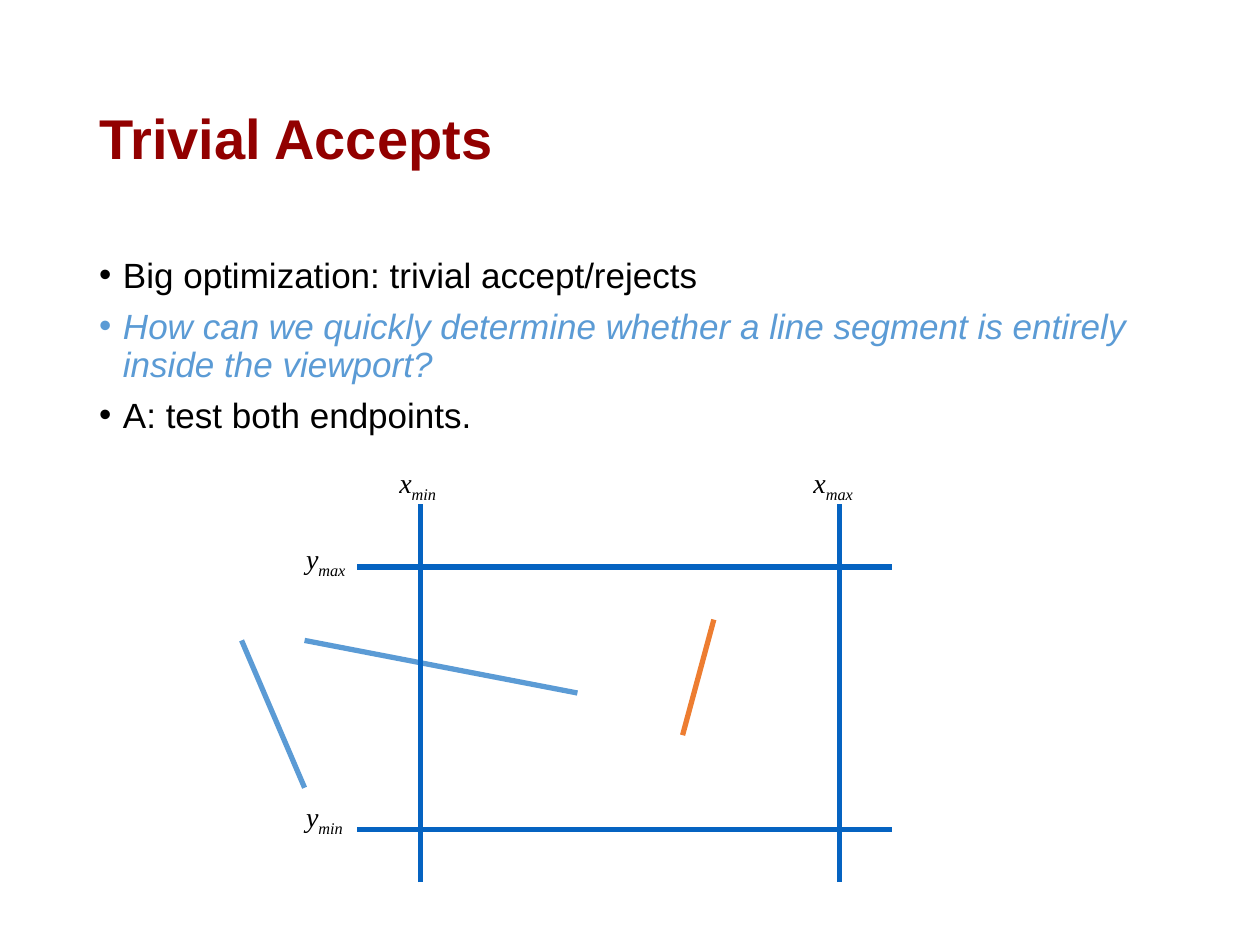
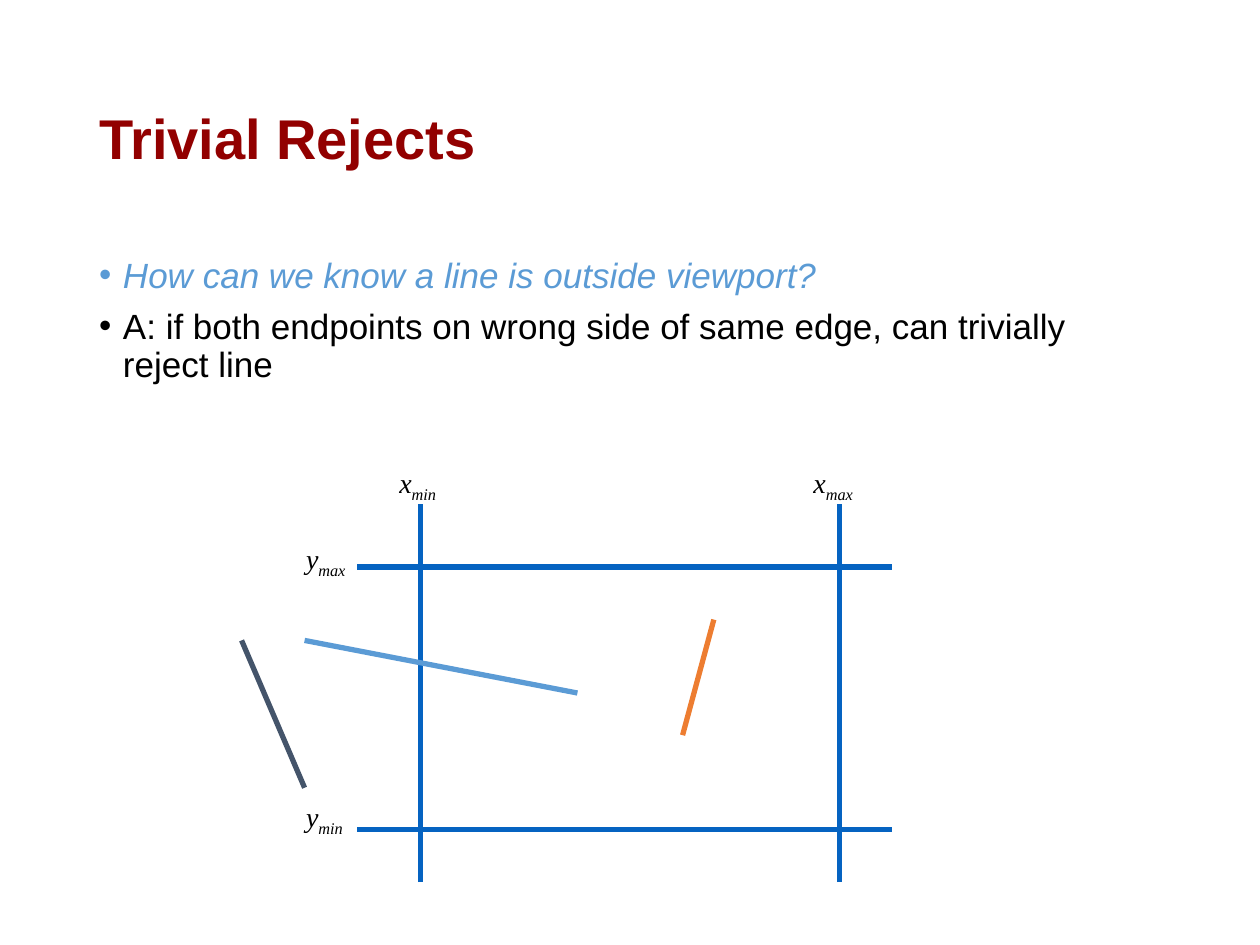
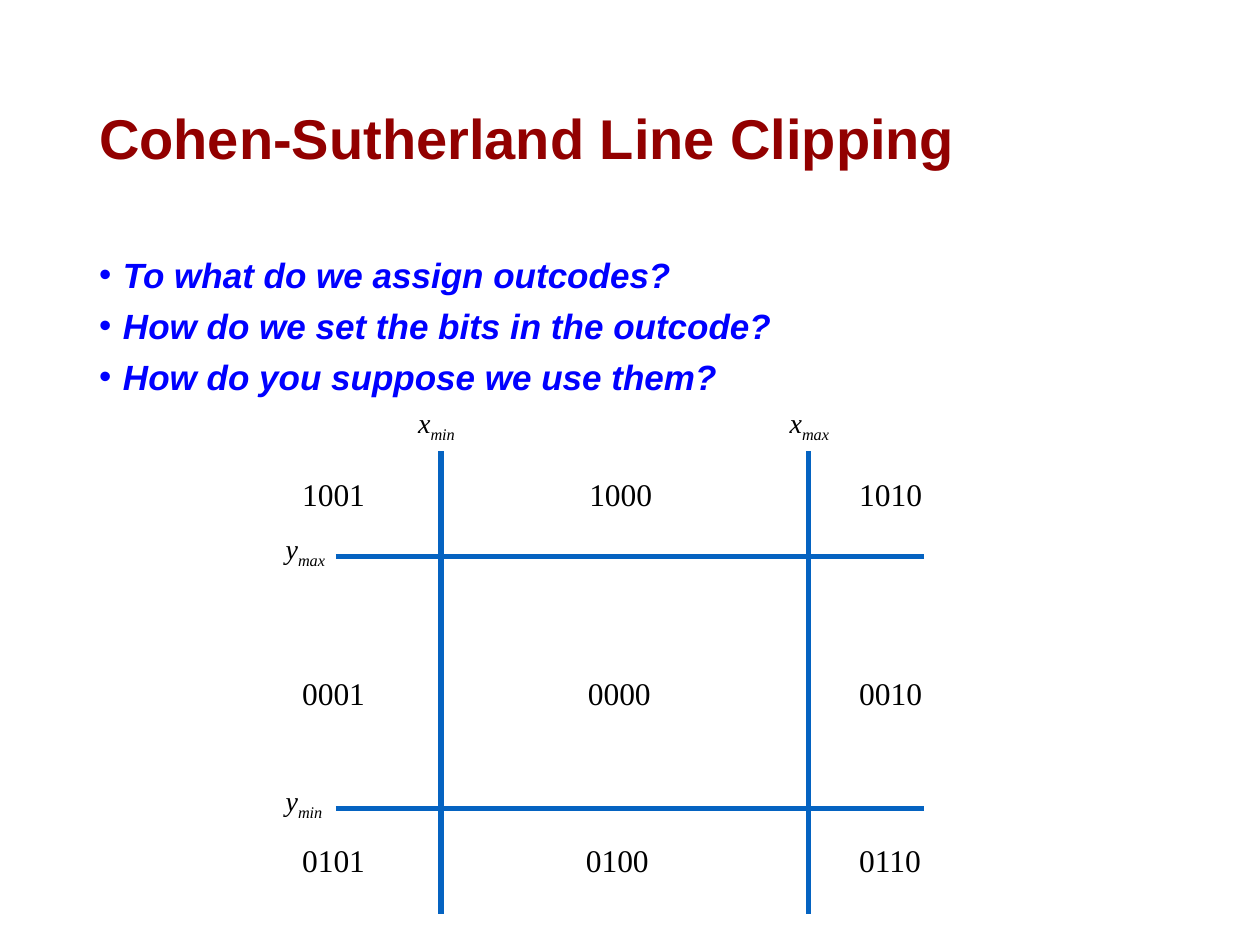
from lxml import etree
from pptx import Presentation
from pptx.dml.color import RGBColor
from pptx.enum.shapes import MSO_CONNECTOR as CONN
from pptx.enum.text import MSO_ANCHOR as ANCHOR, MSO_AUTO_SIZE as AUTO
from pptx.oxml.ns import qn
from pptx.util import Cm, Pt

COLORS = {
    "title": "920000",
    "text": "000000",
    "question": "5B9BD5",
    "strong": "0000FF",
    "grid": "0563C1",
    "crossing": "5B9BD5",
    "inside": "ED7D31",
    "rejected": "44546A",
}
SANS, SERIF = "Arial", "Times New Roman"
LEFT, WIDTH = 1.75, 21.9
LABEL_WIDTHS = {"min": 1.35, "max": 1.42}

VIEWPORT = {
    "x": {"min": 8.47, "max": 16.93},
    "y": {"max": 11.43, "min": 16.72},
    "across": (7.2, 17.99),
    "down": (10.16, 17.78),
    "labels": {("x", "min"): (7.8, 9.27), ("x", "max"): (16.15, 9.27),
               ("y", "max"): (5.92, 10.8), ("y", "min"): (5.92, 16)},
}
REGIONS = {
    "x": {"min": 8.89, "max": 16.3},
    "y": {"max": 11.22, "min": 16.3},
    "across": (6.77, 18.63),
    "down": (9.1, 18.42),
    "labels": {("x", "min"): (8.18, 8.05), ("x", "max"): (15.67, 8.05),
               ("y", "max"): (5.51, 10.59), ("y", "min"): (5.51, 15.67)},
}
OUTCODES = [
    (9.32, 11.63, ("1001", "1000", "1010")),
    (13.34, 11.6, ("0001", "0000", "0010")),
    (16.71, 11.56, ("0101", "0100", "0110")),
]


def add_box(s, left, top, width, height, wrap=True, anchor=ANCHOR.TOP):
    tf = s.shapes.add_textbox(Cm(left), Cm(top), Cm(width), Cm(height)).text_frame
    tf.word_wrap = wrap
    tf.auto_size = AUTO.NONE if wrap else AUTO.SHAPE_TO_FIT_TEXT
    tf.vertical_anchor = anchor
    return tf


def add_run(p, text, size, font=SANS, color="text", bold=False, italic=False):
    r = p.add_run()
    r.text = text
    r.font.name = font
    r.font.size = Pt(size)
    r.font.bold = bold
    r.font.italic = italic
    r.font.color.rgb = RGBColor.from_string(COLORS[color])
    return r


def add_title(s, text):
    p = add_box(s, LEFT, 1.01, WIDTH, 3.68, anchor=ANCHOR.MIDDLE).paragraphs[0]
    p.line_spacing = 0.9
    add_run(p, text, 32, color="title", bold=True)


def add_bullets(s, items):
    tf = add_box(s, LEFT, 5.08, WIDTH, 12.09)
    for i, (text, style) in enumerate(items):
        p = tf.add_paragraph() if i else tf.paragraphs[0]
        pPr = p._p.get_or_add_pPr()
        pPr.set("marL", str(Cm(0.48)))
        pPr.set("indent", str(-Cm(0.48)))
        etree.SubElement(pPr, qn("a:buFont")).set("typeface", SANS)
        etree.SubElement(pPr, qn("a:buChar")).set("char", "•")
        p.line_spacing = 0.9
        if i:
            p.space_before = Pt(7.5)
        add_run(p, text, 20, color=style, bold=style == "strong",
                italic=style != "text")


def add_line(s, start, end, color):
    line = s.shapes.add_connector(CONN.STRAIGHT, *map(Cm, start + end))
    line.line.color.rgb = RGBColor.from_string(COLORS[color])
    line.line.width = Pt(3)
    etree.SubElement(line._element.spPr, qn("a:effectLst"))


def add_grid(s, grid):
    x0, x1 = grid["across"]
    y0, y1 = grid["down"]
    for y in grid["y"].values():
        add_line(s, (x0, y), (x1, y), "grid")
    for x in grid["x"].values():
        add_line(s, (x, y1), (x, y0), "grid")


def add_labels(s, grid):
    for (axis, bound), (left, top) in grid["labels"].items():
        p = add_box(s, left, top, LABEL_WIDTHS[bound], 0.94, wrap=False).paragraphs[0]
        add_run(p, axis, 16, SERIF, italic=True)
        r = add_run(p, bound, 16, SERIF, italic=True)
        r._r.get_or_add_rPr().set("baseline", "-25000")


def add_segments(s, outside_color):
    add_line(s, (4.87, 12.91), (6.14, 15.88), outside_color)
    add_line(s, (6.14, 12.91), (11.64, 13.97), "crossing")
    add_line(s, (13.76, 14.82), (14.39, 12.49), "inside")


def add_outcodes(s):
    for top, middle, codes in OUTCODES:
        for left, code in zip((5.84, middle, 17.07), codes):
            tf = add_box(s, left, top, 2.21, 1.27, wrap=False, anchor=ANCHOR.MIDDLE)
            add_run(tf.paragraphs[0], code, 18, SERIF)


def add_slide(prs, title, items):
    s = prs.slides.add_slide(prs.slide_layouts[6])
    add_title(s, title)
    add_bullets(s, items)
    return s


def main():
    prs = Presentation()
    prs.slide_width, prs.slide_height = Cm(25.4), Cm(19.05)

    s = add_slide(prs, "Trivial Accepts", [
        ("Big optimization: trivial accept/rejects", "text"),
        ("How can we quickly determine whether a line segment is entirely "
         "inside the viewport?", "question"),
        ("A: test both endpoints.", "text"),
    ])
    add_segments(s, "crossing")
    add_grid(s, VIEWPORT)
    add_labels(s, VIEWPORT)

    s = add_slide(prs, "Trivial Rejects", [
        ("How can we know a line is outside viewport?", "question"),
        ("A: if both endpoints on wrong side of same edge, can trivially "
         "reject line", "text"),
    ])
    add_grid(s, VIEWPORT)
    add_segments(s, "rejected")
    add_labels(s, VIEWPORT)

    s = add_slide(prs, "Cohen-Sutherland Line Clipping", [
        ("To what do we assign outcodes?", "strong"),
        ("How do we set the bits in the outcode?", "strong"),
        ("How do you suppose we use them?", "strong"),
    ])
    add_grid(s, REGIONS)
    add_outcodes(s)
    add_labels(s, REGIONS)

    prs.save("out.pptx")


if __name__ == "__main__":
    main()
